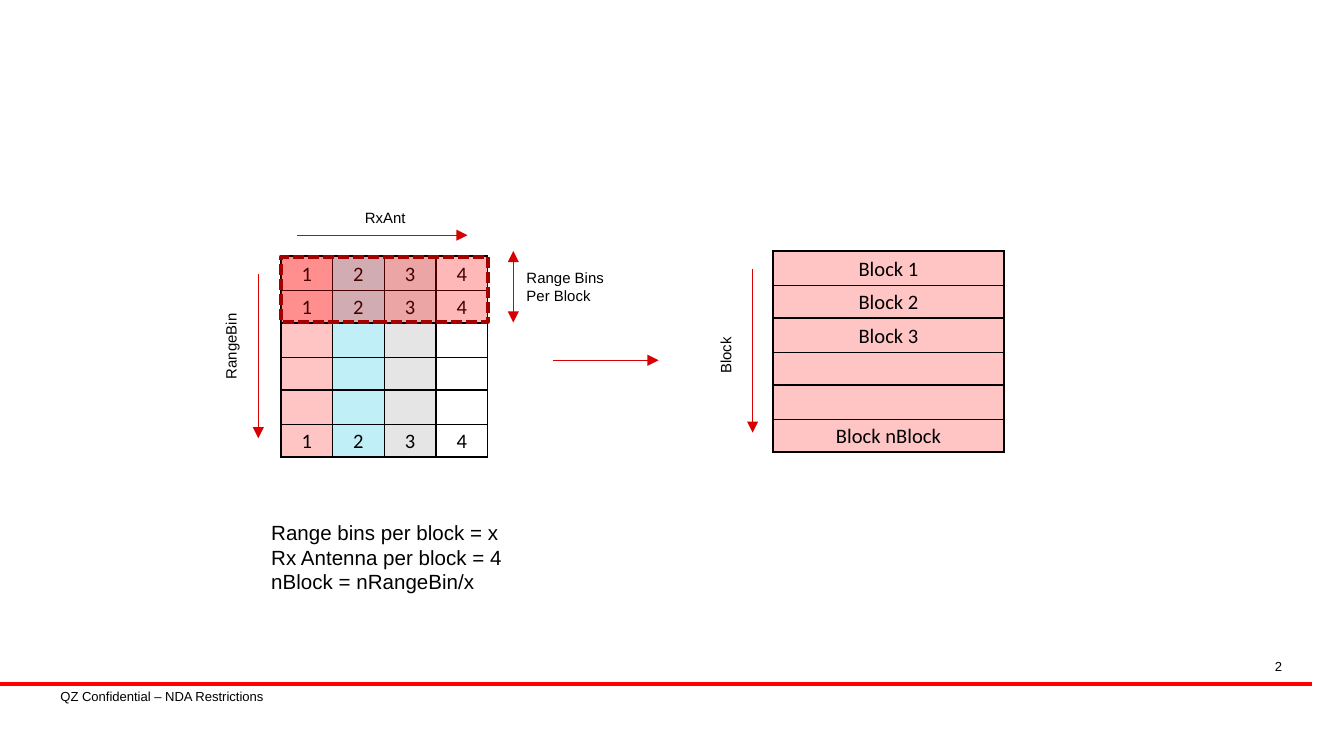
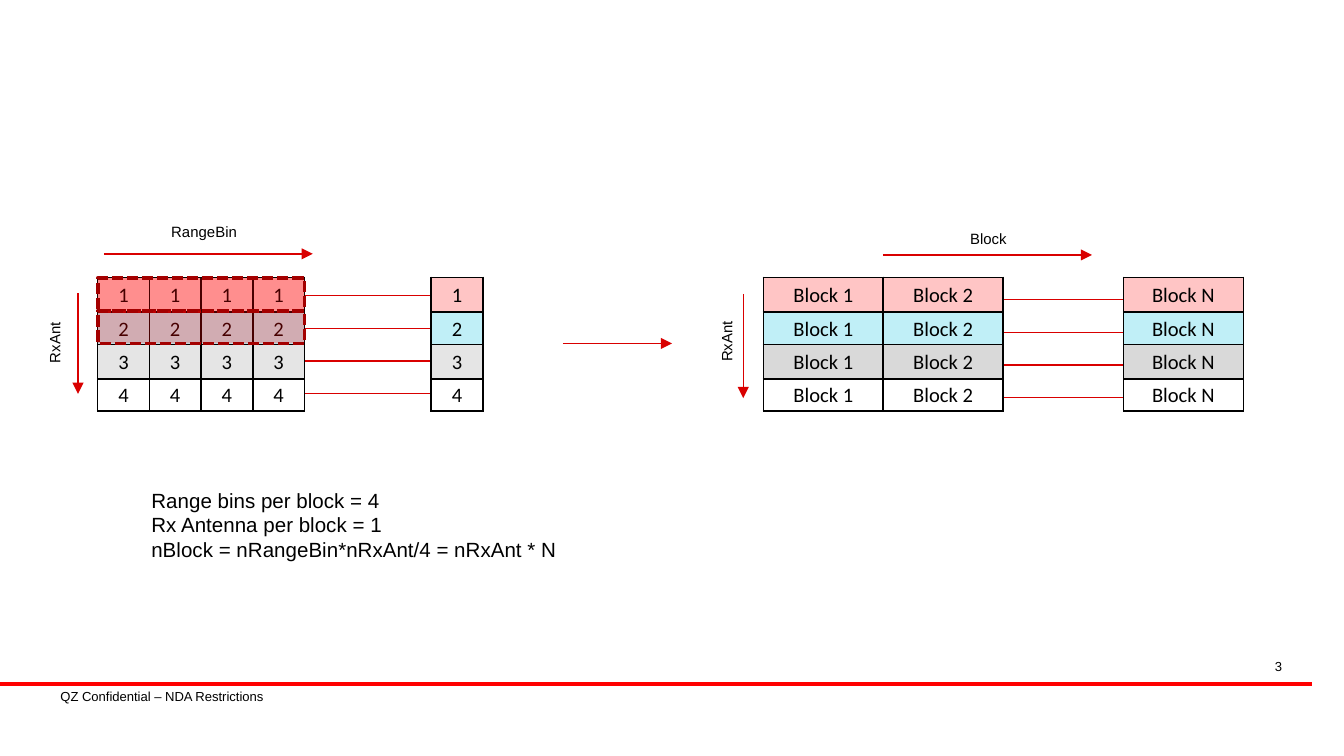
from dataclasses import dataclass, field

from lxml import etree
from pptx import Presentation
from pptx.dml.color import RGBColor
from pptx.enum import dml, shapes, text
from pptx.oxml.ns import qn
from pptx.slide import Slide
from pptx.util import Pt

BLACK, WHITE = "000000", "FFFFFF"
PINK, CYAN, LIGHT_GREY, GREY = "FFC5C5", "C0EFF7", "E5E5E5", "D9D9D9"
RED, ARROW_RED, DARK_RED = "FF0000", "D90000", "A40000"

RANGE_BIN_FILLS = [PINK, CYAN, LIGHT_GREY, WHITE]
BLOCK_FILLS = [PINK, CYAN, GREY, WHITE]
ROW_HEIGHTS = (18.5, 17.4)  # alternate down every grid
ROW_PITCH = 17.5
CELL_WIDTH = 27.7
BLOCK_WIDTH = 64.2
GRID_TOP = 148.6
LABEL_HEIGHT = 17.3


@dataclass
class Grid:
    left: float
    top: float
    column_width: float
    rows: list[list[str]]
    fills: list[list[str]]


@dataclass
class Arrow:
    start: tuple[float, float]
    end: tuple[float, float]
    head: bool = False
    tail: bool = True
    color: str = ARROW_RED
    width: float = 0.75


@dataclass
class Label:
    words: str
    left: float
    top: float
    width: float = 63.4
    height: float = LABEL_HEIGHT
    size: float = 8
    rotation: float = 0
    align: text.PP_ALIGN = text.PP_ALIGN.LEFT
    insets: tuple[float, float] = (7.2, 3.6)


@dataclass
class Highlight:
    left: float
    top: float
    width: float
    height: float


@dataclass
class Diagram:
    page: str
    grids: list[Grid]
    highlights: list[Highlight]
    arrows: list[Arrow]
    labels: list[Label]
    links: list[Arrow] = field(default_factory=list)


def rgb(color: str) -> RGBColor:
    return RGBColor.from_string(color)


def style_font(font, name: str, size: float) -> None:
    font.name = name
    font.size = Pt(size)
    font.color.rgb = rgb(BLACK)


def add_cell_borders(cell) -> None:
    properties = cell._tc.get_or_add_tcPr()
    for side in ("a:lnL", "a:lnR", "a:lnT", "a:lnB"):
        border = etree.SubElement(properties, qn(side), w=str(Pt(1)))
        solid = etree.SubElement(border, qn("a:solidFill"))
        etree.SubElement(solid, qn("a:srgbClr"), val=BLACK)


def fill_cell(cell, words: str, color: str) -> None:
    add_cell_borders(cell)
    cell.fill.solid()
    cell.fill.fore_color.rgb = rgb(color)
    cell.margin_left = cell.margin_right = Pt(5)
    cell.margin_top = cell.margin_bottom = 0
    cell.vertical_anchor = text.MSO_ANCHOR.MIDDLE
    paragraph = cell.text_frame.paragraphs[0]
    paragraph.text = words
    paragraph.alignment = text.PP_ALIGN.CENTER
    paragraph.line_spacing = 1.07
    for run in paragraph.runs:
        style_font(run.font, "Calibri", 11)
    if not words:
        # keeps an empty row from growing to the default text size
        etree.SubElement(paragraph._p, qn("a:endParaRPr"), sz="1100")


def draw_grid(slide: Slide, grid: Grid) -> None:
    row_count, column_count = len(grid.rows), len(grid.rows[0])
    heights = [ROW_HEIGHTS[i % 2] for i in range(row_count)]
    table = slide.shapes.add_table(
        row_count, column_count, Pt(grid.left), Pt(grid.top),
        Pt(grid.column_width * column_count), Pt(sum(heights))).table
    table.first_row = table.horz_banding = False
    for column in table.columns:
        column.width = Pt(grid.column_width)
    for i, height in enumerate(heights):
        table.rows[i].height = Pt(height)
        for j, words in enumerate(grid.rows[i]):
            fill_cell(table.cell(i, j), words, grid.fills[i][j])


def draw_arrow(slide: Slide, arrow: Arrow) -> None:
    connector = slide.shapes.add_connector(
        shapes.MSO_CONNECTOR.STRAIGHT,
        *(Pt(value) for value in arrow.start + arrow.end))
    connector.line.color.rgb = rgb(arrow.color)
    connector.line.width = Pt(arrow.width)
    line = connector.line._get_or_add_ln()
    for shown, tag in ((arrow.head, "a:headEnd"), (arrow.tail, "a:tailEnd")):
        if shown:
            etree.SubElement(line, qn(tag), type="triangle")
    etree.SubElement(connector._element.spPr, qn("a:effectLst"))


def draw_label(slide: Slide, label: Label) -> None:
    box = slide.shapes.add_textbox(
        Pt(label.left), Pt(label.top), Pt(label.width), Pt(label.height))
    box.rotation = label.rotation
    frame = box.text_frame
    frame.word_wrap = True
    frame.margin_left = frame.margin_right = Pt(label.insets[0])
    frame.margin_top = frame.margin_bottom = Pt(label.insets[1])
    frame.text = label.words
    for paragraph in frame.paragraphs:
        paragraph.alignment = label.align
        for run in paragraph.runs:
            style_font(run.font, "Arial", label.size)


def draw_highlight(slide: Slide, highlight: Highlight) -> None:
    frame = slide.shapes.add_shape(
        shapes.MSO_SHAPE.RECTANGLE, Pt(highlight.left), Pt(highlight.top),
        Pt(highlight.width), Pt(highlight.height))
    frame.shadow.inherit = False
    frame.fill.solid()
    frame.fill.fore_color.rgb = rgb(RED)
    color = frame._element.spPr.find(qn("a:solidFill")).find(qn("a:srgbClr"))
    etree.SubElement(color, qn("a:alpha"), val="28000")
    frame.line.color.rgb = rgb(DARK_RED)
    frame.line.width = Pt(2)
    frame.line.dash_style = dml.MSO_LINE.SQUARE_DOT


def draw_footer(slide: Slide, page: str) -> None:
    small = {"size": 7, "insets": (5.8, 2.9)}
    draw_arrow(slide, Arrow((0, 366.5), (702.7, 366.5), tail=False,
                            color=RED, width=2.25))
    draw_label(slide, Label("QZ Confidential – NDA Restrictions",
                            26.6, 366, 166.3, 14.4, **small))
    draw_label(slide, Label(page, 524.9, 350, 167.8, 12.2,
                            align=text.PP_ALIGN.RIGHT, **small))


def draw_diagram(slide: Slide, diagram: Diagram) -> None:
    draw_footer(slide, diagram.page)
    for draw, parts in (
        (draw_arrow, diagram.links),
        (draw_grid, diagram.grids),
        (draw_highlight, diagram.highlights),
        (draw_arrow, diagram.arrows),
        (draw_label, diagram.labels),
    ):
        for part in parts:
            draw(slide, part)


def side_label(words: str, left: float, top: float) -> Label:
    return Label(words, left, top, rotation=270)


def note(lines: list[str], left: float, top: float, width: float) -> Label:
    return Label("\n".join(lines), left, top, width, 47.5, size=11)


def antenna_grid(left: float, words: list[str], width: float,
                 fills: list[str], columns: int = 1) -> Grid:
    """Grid with one row, and one colour, for each antenna."""
    return Grid(left, GRID_TOP, width, [[word] * columns for word in words],
                [[color] * columns for color in fills])


def row_links(left: float, right: float, top: float) -> list[Arrow]:
    levels = [top + i * ROW_PITCH for i in range(4)]
    return [Arrow((left, y), (right, y), tail=False) for y in levels]


ANTENNAS = ["1", "2", "3", "4"]
BLANKS = [""] * 4
BLOCKS = ["Block 1", "Block 2", "Block 3", "", "", "Block nBlock"]

ALL_ANTENNAS_PER_BLOCK = Diagram(
    page="2",
    grids=[
        Grid(150.5, 137.2, CELL_WIDTH,
             [ANTENNAS, ANTENNAS, BLANKS, BLANKS, BLANKS, ANTENNAS],
             [RANGE_BIN_FILLS] * 6),
        Grid(414.1, 134.5, 123.8, [[block] for block in BLOCKS], [[PINK]] * 6),
    ],
    highlights=[Highlight(150.5, 137.5, 4 * CELL_WIDTH, 34.9)],
    arrows=[
        Arrow((159, 126), (250.5, 126)),
        Arrow((138.4, 147), (138.4, 234.8)),
        Arrow((403.2, 144), (403.2, 231.8)),
        Arrow((296, 193), (352.8, 193)),
        Arrow((275, 134.5), (275, 172.8), head=True),
    ],
    labels=[
        Label("RxAnt", 188.4, 108, 38),
        side_label("RangeBin", 92.2, 170),
        side_label("Block", 357.2, 167),
        Label("Range Bins Per Block", 275, 140.4, 69, 26.6),
        note(["Range bins per block = x", "Rx Antenna per block = 4",
              "nBlock = nRangeBin/x"], 138.2, 275, 148.5),
    ],
)

ONE_ANTENNA_PER_BLOCK = Diagram(
    page="3",
    links=row_links(163.4, 231, 158.4) + row_links(537.8, 605.5, 160.6),
    grids=[
        antenna_grid(52.3, ANTENNAS, CELL_WIDTH, RANGE_BIN_FILLS, columns=4),
        antenna_grid(231, ANTENNAS, CELL_WIDTH, RANGE_BIN_FILLS),
    ] + [
        antenna_grid(left, [block] * 4, BLOCK_WIDTH, BLOCK_FILLS)
        for block, left in (("Block 1", 409), ("Block 2", 409 + BLOCK_WIDTH),
                            ("Block N", 601.9))
    ],
    highlights=[Highlight(52.3, 149 + i * ROW_PITCH, 4 * CELL_WIDTH, ROW_PITCH)
                for i in range(2)],
    arrows=[
        Arrow((41.8, 157.2), (41.8, 211)),
        Arrow((55.6, 136), (167.6, 136)),
        Arrow((398.2, 157.5), (398.2, 213.3)),
        Arrow((473, 136.6), (585, 136.6)),
        Arrow((301.6, 184), (360, 184)),
    ],
    labels=[
        side_label("RxAnt", -2.2, 161.3),
        Label("RangeBin", 84.6, 116),
        side_label("RxAnt", 357.8, 160.6),
        Label("Block", 512.6, 119.5),
        note(["Range bins per block = 4", "Rx Antenna per block = 1",
              "nBlock = nRangeBin*nRxAnt/4 = nRxAnt * N"], 74, 257.8, 244),
    ],
)


def main() -> None:
    presentation = Presentation()
    presentation.slide_width = Pt(720)
    presentation.slide_height = Pt(405)
    blank = presentation.slide_layouts[6]
    for diagram in (ALL_ANTENNAS_PER_BLOCK, ONE_ANTENNA_PER_BLOCK):
        draw_diagram(presentation.slides.add_slide(blank), diagram)
    presentation.save("out.pptx")


if __name__ == "__main__":
    main()
